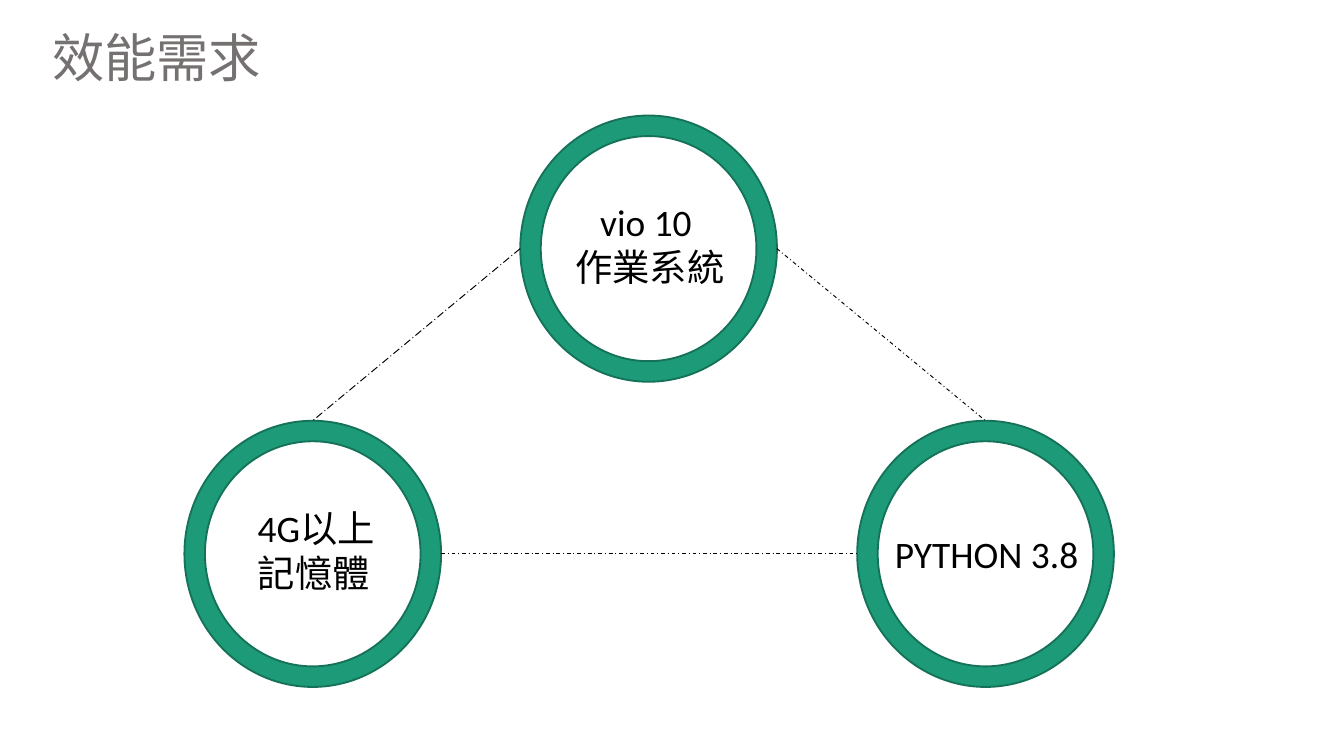
import pptx
import pptx.util
import pptx.dml.color
import pptx.enum.dml
import pptx.enum.shapes
import pptx.oxml.ns
from lxml import etree

Pt = pptx.util.Pt
DASH = pptx.enum.dml.MSO_LINE
CJK_FONT = "Noto Sans CJK SC"

# Content: ring left and top, label left, top and height, label lines with left indent
RING_WIDTH, RING_HEIGHT = 137.5, 142.6
TITLE = ("效能需求", 20.9, 10.1, 326.9, 41)
RINGS = {
    "system": {"at": (278.7, 61.9), "label": (301, 103, 80),
               "lines": [("vio 10", 13.5), ("作業系統", 0)]},
    "memory": {"at": (98.8, 225.4), "label": (131, 267.1, 80),
               "lines": [("4G以上", 0), ("記憶體", 0)]},
    "language": {"at": (459.2, 225.4), "label": (472.3, 280.8, 31.7),
                 "lines": [("PYTHON 3.8", 0)]},
}
# Links: start ring and side, end ring and side, dash
LINKS = [
    ("system", "left", "memory", "top", DASH.LONG_DASH_DOT),
    ("memory", "right", "language", "left", DASH.DASH_DOT),
    ("system", "right", "language", "top", DASH.DASH_DOT),
]
SIDES = {"left": (0, 0.5), "right": (1, 0.5), "top": (0.5, 0)}


def color(value):
    return pptx.dml.color.RGBColor.from_string(value)


def set_line(line, value, width):
    line.color.rgb = color(value)
    line.width = Pt(width)


def ring_point(name, side):
    left, top = RINGS[name]["at"]
    across, down = SIDES[side]
    return Pt(left + across * RING_WIDTH), Pt(top + down * RING_HEIGHT)


def add_text(lines, left, top, width, height, size, font_name, font_color):
    box = slide.shapes.add_textbox(Pt(left), Pt(top), Pt(width), Pt(height))
    frame = box.text_frame
    frame.word_wrap = True
    for index, (text, indent) in enumerate(lines):
        paragraph = frame.paragraphs[0] if index == 0 else frame.add_paragraph()
        if indent:
            paragraph._p.get_or_add_pPr().set("marL", str(Pt(indent)))
        run = paragraph.add_run()
        run.text = text
        for name, value in {"size": Pt(size), "name": font_name}.items():
            setattr(run.font, name, value)
        run.font.color.rgb = color(font_color)
        # East Asian characters use their own typeface
        east_asian = etree.SubElement(run._r.get_or_add_rPr(), pptx.oxml.ns.qn("a:ea"))
        east_asian.set("typeface", CJK_FONT)


presentation = pptx.Presentation()
presentation.slide_width, presentation.slide_height = Pt(720), Pt(405)
slide = presentation.slides.add_slide(presentation.slide_layouts[6])

# Title
title, *title_place = TITLE
add_text([(title, 0)], *title_place, 28, CJK_FONT, "767171")

# Rings
for ring in RINGS.values():
    left, top = ring["at"]
    shape = slide.shapes.add_shape(pptx.enum.shapes.MSO_SHAPE.DONUT, Pt(left), Pt(top),
                                   Pt(RING_WIDTH), Pt(RING_HEIGHT))
    shape.adjustments[0] = 0.08
    shape.shadow.inherit = False
    shape.fill.solid()
    shape.fill.fore_color.rgb = color("1D9A78")
    set_line(shape.line, "157259", 1)

# Links between the rings
for start, start_side, end, end_side, dash in LINKS:
    connector = slide.shapes.add_connector(
        pptx.enum.shapes.MSO_CONNECTOR.STRAIGHT,
        *ring_point(start, start_side), *ring_point(end, end_side))
    set_line(connector.line, "000000", 0.5)
    connector.line.dash_style = dash
    etree.SubElement(connector._element.spPr, pptx.oxml.ns.qn("a:effectLst"))

# Labels
for ring in RINGS.values():
    left, top, height = ring["label"]
    add_text(ring["lines"], left, top, 136.8, height, 20, "Calibri", "000000")

presentation.save("out.pptx")
